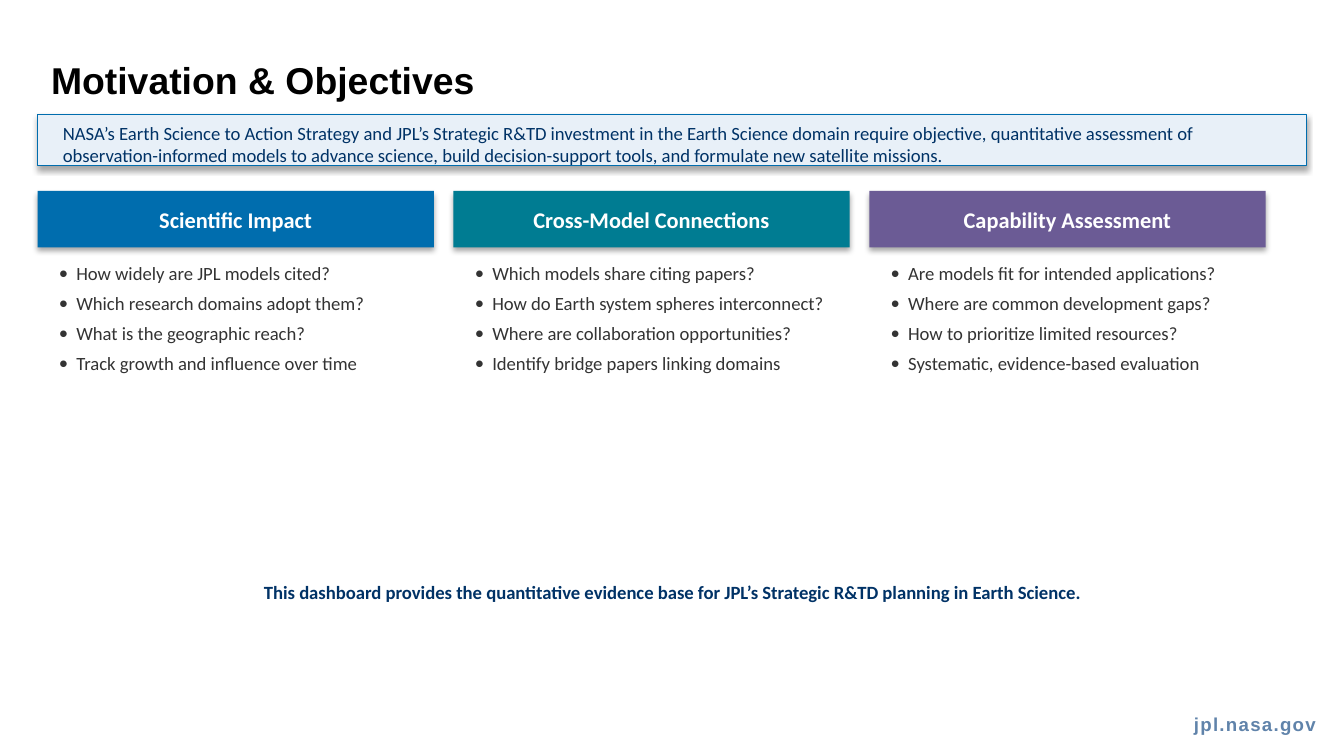
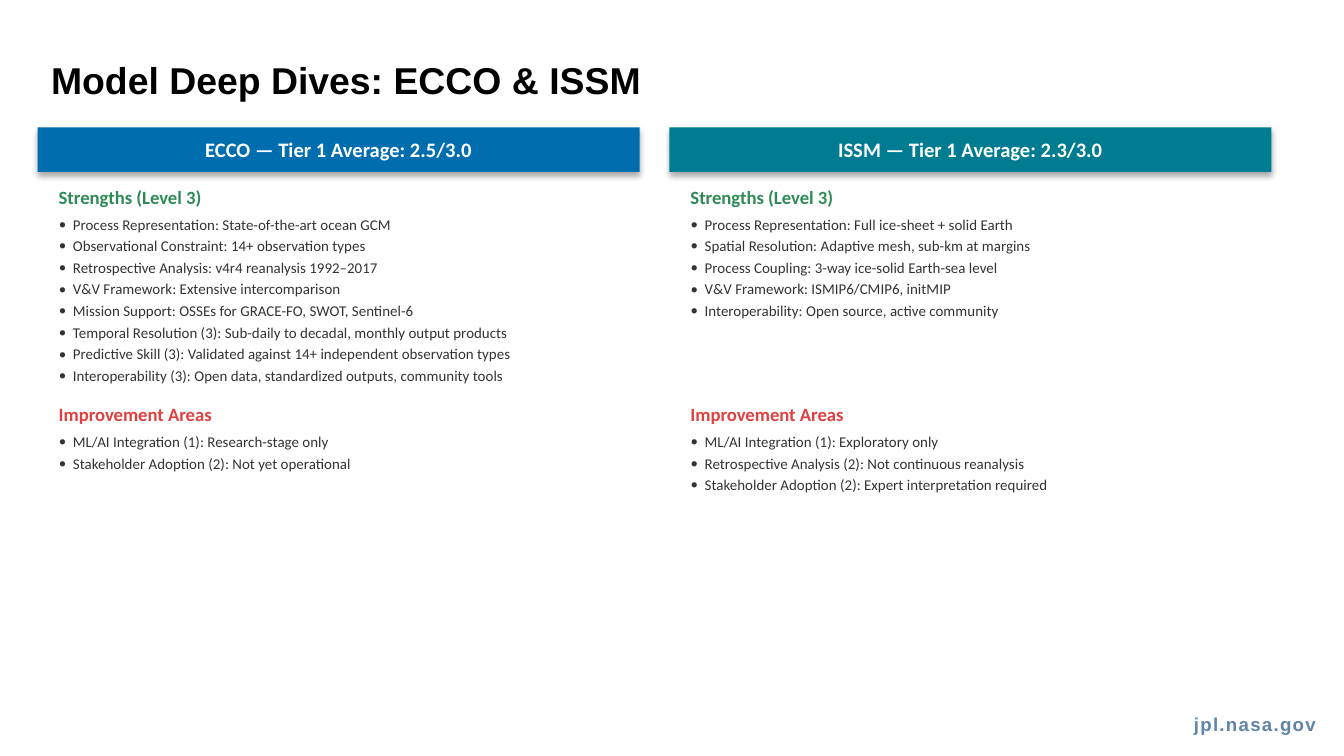
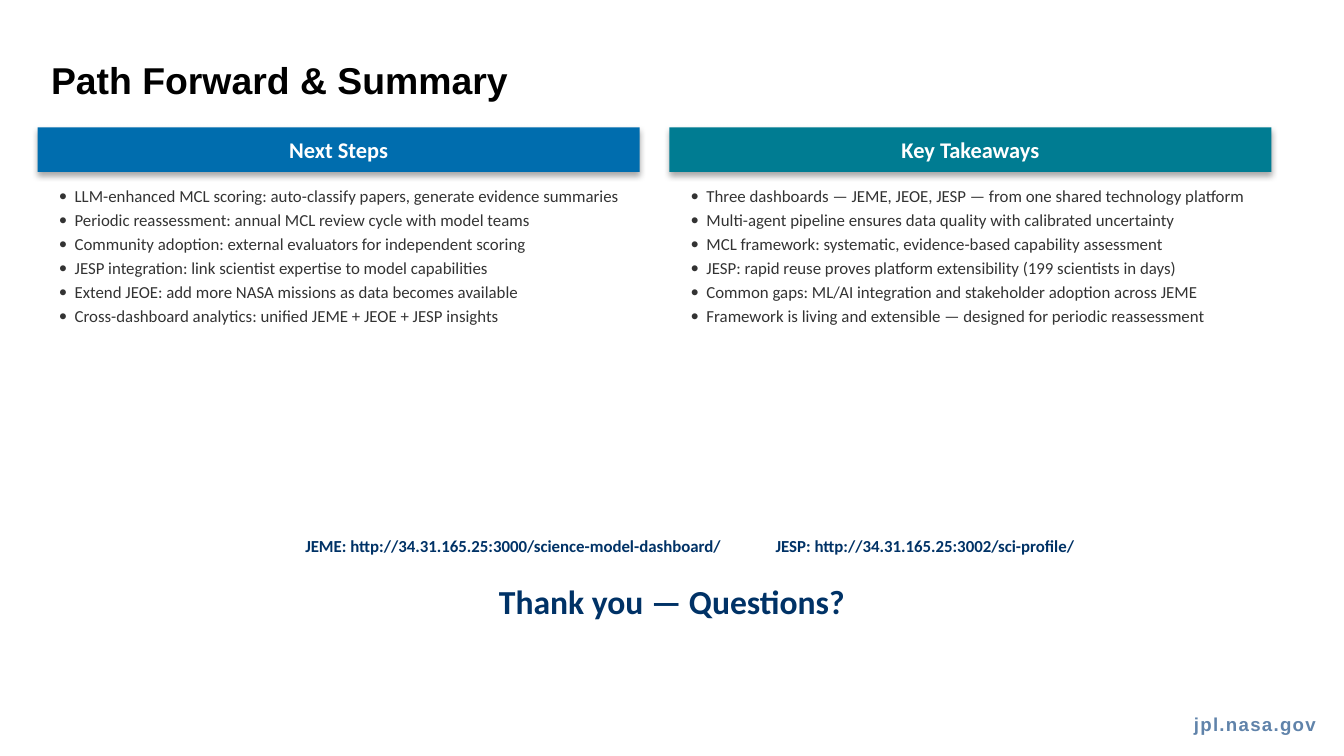
from lxml import etree
from pptx import Presentation, util as u
from pptx.dml.color import RGBColor
from pptx.enum import shapes, text
from pptx.oxml.ns import qn

COLORS = {
    "black": "000000", "white": "FFFFFF", "body": "333333", "navy": "003266",
    "blue": "006DAE", "teal": "007C92", "purple": "6B5B95", "pale": "E8F0F8",
    "green": "2E8B57", "red": "E04040", "footer": "6083AA",
}
LEFT, FULL_WIDTH = 0.71, 23.98
LIST_INSET = 0.15

PAGES = [
    {
        "title": "Motivation & Objectives",
        "step": 7.86, "width": 7.49, "header_top": 3.61, "header_height": 1.07,
        "header_size": 12, "list_size": 10, "after": 4,
        "columns": [
            ("Scientific Impact", "blue", [(None, 4.83, 5.56, [
                "How widely are JPL models cited?",
                "Which research domains adopt them?",
                "What is the geographic reach?",
                "Track growth and influence over time"])]),
            ("Cross-Model Connections", "teal", [(None, 4.83, 5.56, [
                "Which models share citing papers?",
                "How do Earth system spheres interconnect?",
                "Where are collaboration opportunities?",
                "Identify bridge papers linking domains"])]),
            ("Capability Assessment", "purple", [(None, 4.83, 5.56, [
                "Are models fit for intended applications?",
                "Where are common development gaps?",
                "How to prioritize limited resources?",
                "Systematic, evidence-based evaluation"])]),
        ],
        "closing": [
            ("This dashboard provides the quantitative evidence base for JPL’s Strategic R&TD "
             "planning in Earth Science.", 10.85, 0.69, {"size": 10}),
        ],
    },
    {
        "title": "Model Deep Dives: ECCO & ISSM",
        "step": 11.94, "width": 11.38, "header_top": 2.41, "header_height": 0.84,
        "header_size": 11, "list_size": 8, "after": 2,
        "columns": [
            ("ECCO — Tier 1 Average: 2.5/3.0", "blue", [
                (("Strengths (Level 3)", "green"), 3.94, 3.33, [
                    "Process Representation: State-of-the-art ocean GCM",
                    "Observational Constraint: 14+ observation types",
                    "Retrospective Analysis: v4r4 reanalysis 1992–2017",
                    "V&V Framework: Extensive intercomparison",
                    "Mission Support: OSSEs for GRACE-FO, SWOT, Sentinel-6",
                    "Temporal Resolution (3): Sub-daily to decadal, monthly output products",
                    "Predictive Skill (3): Validated against 14+ independent observation types",
                    "Interoperability (3): Open data, standardized outputs, community tools"]),
                (("Improvement Areas", "red"), 8.05, 2.21, [
                    "ML/AI Integration (1): Research-stage only",
                    "Stakeholder Adoption (2): Not yet operational"])]),
            ("ISSM — Tier 1 Average: 2.3/3.0", "teal", [
                (("Strengths (Level 3)", "green"), 3.94, 3.33, [
                    "Process Representation: Full ice-sheet + solid Earth",
                    "Spatial Resolution: Adaptive mesh, sub-km at margins",
                    "Process Coupling: 3-way ice-solid Earth-sea level",
                    "V&V Framework: ISMIP6/CMIP6, initMIP",
                    "Interoperability: Open source, active community"]),
                (("Improvement Areas", "red"), 8.05, 2.21, [
                    "ML/AI Integration (1): Exploratory only",
                    "Retrospective Analysis (2): Not continuous reanalysis",
                    "Stakeholder Adoption (2): Expert interpretation required"])]),
        ],
        "closing": [],
    },
    {
        "title": "Path Forward & Summary",
        "step": 11.94, "width": 11.38, "header_top": 2.41, "header_height": 0.84,
        "header_size": 12, "list_size": 9, "after": 2,
        "columns": [
            ("Next Steps", "blue", [(None, 3.38, 6.12, [
                "LLM-enhanced MCL scoring: auto-classify papers, generate evidence summaries",
                "Periodic reassessment: annual MCL review cycle with model teams",
                "Community adoption: external evaluators for independent scoring",
                "JESP integration: link scientist expertise to model capabilities",
                "Extend JEOE: add more NASA missions as data becomes available",
                "Cross-dashboard analytics: unified JEME + JEOE + JESP insights"])]),
            ("Key Takeaways", "teal", [(None, 3.38, 6.12, [
                "Three dashboards — JEME, JEOE, JESP — from one shared technology platform",
                "Multi-agent pipeline ensures data quality with calibrated uncertainty",
                "MCL framework: systematic, evidence-based capability assessment",
                "JESP: rapid reuse proves platform extensibility (199 scientists in days)",
                "Common gaps: ML/AI integration and stakeholder adoption across JEME",
                "Framework is living and extensible — designed for periodic reassessment"])]),
        ],
        "closing": [
            ("JEME: http://34.31.165.25:3000/science-model-dashboard/\t"
             "JESP: http://34.31.165.25:3002/sci-profile/", 10.01, 0.56,
             {"size": 9, "align": text.PP_ALIGN.LEFT, "indent": 4.81, "tab": 13.02}),
            ("Thank you — Questions?", 10.85, 0.97, {"size": 18}),
        ],
    },
]


def cm(*lengths):
    return [u.Cm(length) for length in lengths]


def write(shape, lines, size, color, font="Calibri", bold=False, align=text.PP_ALIGN.LEFT,
          anchor=text.MSO_ANCHOR.TOP, after=0, bullets=False, indent=0, tab=None, tracking=None):
    """Fill a shape with one paragraph per line; indent and tab are in centimetres."""
    frame = shape.text_frame
    frame.word_wrap = True
    frame.auto_size = text.MSO_AUTO_SIZE.NONE
    frame.vertical_anchor = anchor
    frame.text = "\n".join(lines)
    for paragraph in frame.paragraphs:
        properties = paragraph._p.get_or_add_pPr()
        hanging = u.Cm(0.033 * size) if bullets else 0
        properties.set("marL", str(u.Cm(indent) + hanging))
        properties.set("indent", str(-hanging))
        if bullets:
            etree.SubElement(properties, qn("a:buFont"), typeface=font)
            etree.SubElement(properties, qn("a:buChar"), char="•")
        if tab:
            tabs = etree.SubElement(properties, qn("a:tabLst"))
            etree.SubElement(tabs, qn("a:tab"), pos=str(u.Cm(tab)), algn="l")
        paragraph.alignment = align
        paragraph.space_before = u.Pt(0)
        paragraph.space_after = u.Pt(after)
        for run in paragraph.runs:
            run.font.name = font
            run.font.size = u.Pt(size)
            run.font.bold = bold
            run.font.color.rgb = RGBColor.from_string(COLORS[color])
            if tracking:
                run.font._element.set("spc", str(tracking))


presentation = Presentation()
presentation.slide_width, presentation.slide_height = cm(25.4, 14.29)
comparison_layout = presentation.slide_layouts[4]

for page in PAGES:
    slide = presentation.slides.add_slide(comparison_layout)
    title = slide.shapes.title
    title.left, title.top, title.width, title.height = cm(LEFT, 0.91, 23.65, 1.19)
    write(title, [page["title"]], 20, "black", font="Arial", bold=True,
          anchor=text.MSO_ANCHOR.MIDDLE)
    bodies = [body for body in slide.placeholders if body.placeholder_format.idx > 0]

    for number, (heading, color, sections) in enumerate(page["columns"]):
        column_left = LEFT + number * page["step"]
        header = slide.shapes.add_shape(
            shapes.MSO_SHAPE.RECTANGLE,
            *cm(column_left, page["header_top"], page["width"], page["header_height"]))
        header.fill.solid()
        header.fill.fore_color.rgb = RGBColor.from_string(COLORS[color])
        header.line.fill.background()
        frame = header.text_frame
        frame.margin_left = frame.margin_right = u.Cm(0.15)
        frame.margin_top = frame.margin_bottom = u.Cm(0.08)
        write(header, [heading], page["header_size"], "white", bold=True,
              align=text.PP_ALIGN.CENTER, anchor=text.MSO_ANCHOR.MIDDLE)

        list_left = column_left + LIST_INSET
        for subheading, top, height, items in sections:
            if subheading:
                label, label_color = subheading
                label_box = slide.shapes.add_textbox(
                    *cm(list_left, top - 0.56, page["width"], 0.56))
                write(label_box, [label], 10, label_color, bold=True)
            body = bodies.pop(0)
            body.left, body.top, body.width, body.height = cm(
                list_left, top, page["width"] - 2 * LIST_INSET, height)
            write(body, items, page["list_size"], "body", after=page["after"], bullets=True)

    for body in bodies:
        body.element.getparent().remove(body.element)

    for line, top, height, style in page["closing"]:
        closing_box = slide.shapes.add_textbox(*cm(LEFT, top, FULL_WIDTH, height))
        write(closing_box, [line], color="navy", bold=True,
              **{"align": text.PP_ALIGN.CENTER, **style})

motivation = presentation.slides[0]
banner = motivation.shapes.add_shape(
    shapes.MSO_SHAPE.RECTANGLE, *cm(LEFT, 2.16, FULL_WIDTH, 0.97))
banner.fill.solid()
banner.fill.fore_color.rgb = RGBColor.from_string(COLORS["pale"])
banner.line.color.rgb = RGBColor.from_string(COLORS["blue"])
banner.line.width = u.Pt(0.5)
banner_text = motivation.shapes.add_textbox(*cm(0.94, 2.18, 23.55, 0.91))
write(banner_text, [
    "NASA’s Earth Science to Action Strategy and JPL’s Strategic R&TD investment in the Earth "
    "Science domain require objective, quantitative assessment of observation-informed models "
    "to advance science, build decision-support tools, and formulate new satellite missions."],
    10, "navy")

# The footer moves to the master so that every slide shows it.
footer = motivation.shapes.add_textbox(*cm(21.69, 13.11, 3.43, 1.17))
write(footer, ["jpl.nasa.gov"], 10, "footer", font="Arial", bold=True,
      align=text.PP_ALIGN.RIGHT, anchor=text.MSO_ANCHOR.MIDDLE, tracking=70)
presentation.slide_master.shapes.element.append(footer.element)

presentation.save("out.pptx")
